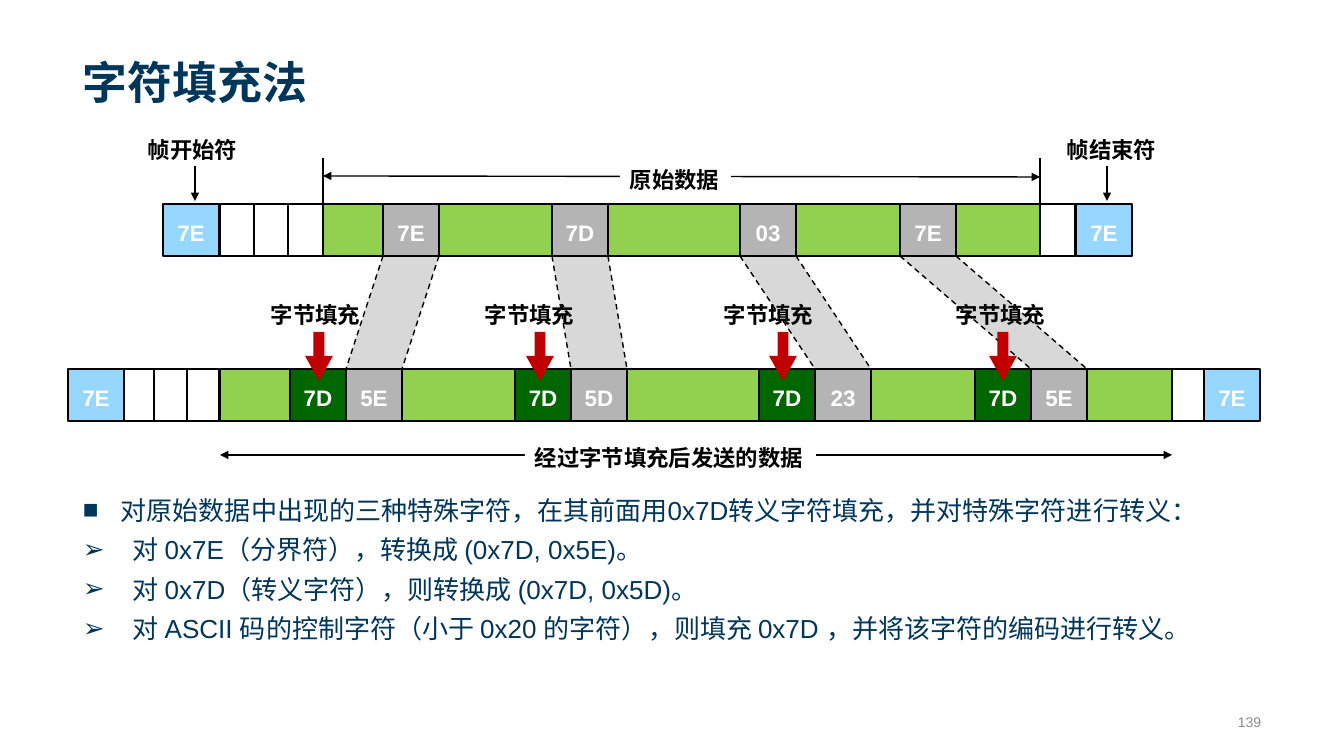
from lxml.etree import SubElement
from pptx import Presentation
from pptx.dml.color import RGBColor
from pptx.enum.dml import MSO_LINE
from pptx.enum.shapes import MSO_CONNECTOR, MSO_SHAPE
from pptx.enum.text import MSO_ANCHOR, PP_ALIGN
from pptx.oxml.ns import qn
from pptx.util import Pt

PX = 9071
THEME = {
    "font": "Arial",
    "navy": RGBColor.from_string("003659"),
    "black": RGBColor.from_string("000000"),
    "white": RGBColor.from_string("FFFFFF"),
    "page": RGBColor.from_string("8C8C8C"),
    "flag": RGBColor.from_string("96D6FF"),
    "data": RGBColor.from_string("92D050"),
    "special": RGBColor.from_string("B4B4B4"),
    "escape": RGBColor.from_string("006600"),
    "band": RGBColor.from_string("D8D8D8"),
    "arrow": RGBColor.from_string("C00000"),
    "title_size": Pt(32),
    "body_size": Pt(18.6),
    "label_size": Pt(16),
    "page_size": Pt(10),
}


def style(paragraph, size, color, bold=False, align=PP_ALIGN.LEFT, spacing=None):
    paragraph.alignment = align
    paragraph.line_spacing = spacing
    font = paragraph.font
    font.name, font.size, font.bold = THEME["font"], THEME[size], bold
    font.color.rgb = THEME[color]


def add_text(left, top, width, height, text, anchor=MSO_ANCHOR.TOP, wrap=True):
    box = slide.shapes.add_textbox(left * PX, top * PX, width * PX, height * PX)
    box.text_frame.word_wrap = wrap
    box.text_frame.vertical_anchor = anchor
    box.text_frame.text = text
    return box


presentation = Presentation()
presentation.slide_width = 1344 * PX
presentation.slide_height = 756 * PX
slide = presentation.slides.add_slide(presentation.slide_layouts[6])

title = add_text(73, 14, 1198, 99, "字符填充法", MSO_ANCHOR.BOTTOM)
style(title.text_frame.paragraphs[0], "title_size", "navy", bold=True)

rules = [
    ("■", 38, "对原始数据中出现的三种特殊字符，在其前面用0x7D转义字符填充，并对特殊字符进行转义："),
    ("➢", 50, "对 0x7E（分界符），转换成 (0x7D, 0x5E)。"),
    ("➢", 50, "对 0x7D（转义字符），则转换成 (0x7D, 0x5D)。"),
    ("➢", 50, "对 ASCII 码的控制字符（小于 0x20 的字符），则填充 0x7D ，并将该字符的编码进行转义。"),
]
body = add_text(73, 487, 1198, 189, "\n".join(rule for _, _, rule in rules))
for index, (bullet, indent, _) in enumerate(rules):
    paragraph = body.text_frame.paragraphs[index]
    properties = paragraph._p.get_or_add_pPr()
    properties.set("marL", str(indent * PX))
    properties.set("indent", str(-indent * PX))
    SubElement(properties, qn("a:buFont"), typeface=THEME["font"])
    SubElement(properties, qn("a:buChar"), char=bullet)
    if index:
        paragraph.space_before = Pt(4.2)
    style(paragraph, "body_size", "navy", spacing=Pt(24))

page_number = add_text(1182, 707, 89, 30, "139", MSO_ANCHOR.MIDDLE)
style(page_number.text_frame.paragraphs[0], "page_size", "page", align=PP_ALIGN.RIGHT)

RAW_TOP, SENT_TOP, CELL_WIDTH, CELL_HEIGHT = 204, 369, 56, 52
RAW_BOTTOM = RAW_TOP + CELL_HEIGHT
stuffings = [
    (383, "7E", 290, "5E", 261, 305),
    (552, "7D", 515, "5D", 475, 526),
    (740, "03", 759, "23", 714, 769),
    (900, "7E", 975, "5E", 946, 989),
]

cells = [
    (299, RAW_TOP, 742, "data", ""),
    (220, SENT_TOP, 952, "data", ""),
]
for left, top in [(163, RAW_TOP), (1076, RAW_TOP), (68, SENT_TOP), (1204, SENT_TOP)]:
    cells.append((left, top, CELL_WIDTH, "flag", "7E"))
for left in (220, 254, 288, 1040):
    cells.append((left, RAW_TOP, 35, "white", ""))
for left, width in [(124, 39), (154, 37), (187, 32), (1172, 32)]:
    cells.append((left, SENT_TOP, width, "white", ""))

lines = [
    (323, 176, 1040, 177, False, True, True),
    (220, 455, 1172, 455, False, True, True),
    (195, 166, 195, 201, False, False, True),
    (1107, 166, 1107, 201, False, False, True),
    (323, 158, 323, 203, False, False, False),
    (1040, 158, 1040, 203, False, False, False),
]
labels = [
    (620, 156, 111, "原始数据", True),
    (525, 434, 291, "经过字节填充后发送的数据", True),
    (138, 126, 111, "帧开始符", False),
    (1057, 126, 111, "帧结束符", False),
]

for raw_left, raw_code, escape_left, sent_code, label_left, _ in stuffings:
    sent_left = escape_left + CELL_WIDTH
    cells += [
        (raw_left, RAW_TOP, CELL_WIDTH, "special", raw_code),
        (escape_left, SENT_TOP, CELL_WIDTH, "escape", "7D"),
        (sent_left, SENT_TOP, CELL_WIDTH, "special", sent_code),
    ]
    for edge in (0, CELL_WIDTH):
        lines.append((raw_left + edge, RAW_BOTTOM, sent_left + edge, SENT_TOP, True, False, False))
    labels.append((label_left, 291, 111, "字节填充", False))

    outline = slide.shapes.build_freeform(raw_left, RAW_BOTTOM, scale=PX)
    outline.add_line_segments([
        (raw_left + CELL_WIDTH, RAW_BOTTOM),
        (sent_left + CELL_WIDTH, SENT_TOP),
        (sent_left, SENT_TOP),
    ])
    band = outline.convert_to_shape()
    band.shadow.inherit = False
    band.fill.solid()
    band.fill.fore_color.rgb = THEME["band"]
    band.line.fill.background()

for left, top, width, color, code in cells:
    cell = slide.shapes.add_shape(
        MSO_SHAPE.RECTANGLE, left * PX, top * PX, width * PX, CELL_HEIGHT * PX)
    cell.shadow.inherit = False
    cell.fill.solid()
    cell.fill.fore_color.rgb = THEME[color]
    cell.line.color.rgb = THEME["black"]
    cell.line.width = Pt(1)
    if code:
        cell.text_frame.word_wrap = False
        cell.text_frame.vertical_anchor = MSO_ANCHOR.MIDDLE
        cell.text_frame.text = code
        style(cell.text_frame.paragraphs[0], "label_size", "white", True, PP_ALIGN.CENTER, 1.2)

for x1, y1, x2, y2, dashed, head, tail in lines:
    line = slide.shapes.add_connector(
        MSO_CONNECTOR.STRAIGHT, x1 * PX, y1 * PX, x2 * PX, y2 * PX)
    line.line.color.rgb = THEME["black"]
    line.line.width = Pt(1)
    if dashed:
        line.line.dash_style = MSO_LINE.DASH
    for end, shown in (("a:headEnd", head), ("a:tailEnd", tail)):
        if shown:
            SubElement(line.line._get_or_add_ln(), qn(end), type="triangle")
    SubElement(line._element.spPr, qn("a:effectLst"))

for left, top, width, text, filled in labels:
    label = add_text(left, top, width, 40, text, wrap=False)
    if filled:
        label.fill.solid()
        label.fill.fore_color.rgb = THEME["white"]
    style(label.text_frame.paragraphs[0], "label_size", "black", bold=True, spacing=1.2)

for *_, arrow_left in stuffings:
    arrow = slide.shapes.add_shape(
        MSO_SHAPE.DOWN_ARROW, arrow_left * PX, 332 * PX, 28 * PX, 49 * PX)
    arrow.adjustments[0], arrow.adjustments[1] = 0.39, 0.9
    arrow.shadow.inherit = False
    arrow.fill.solid()
    arrow.fill.fore_color.rgb = THEME["arrow"]
    arrow.line.fill.background()

presentation.save("out.pptx")
